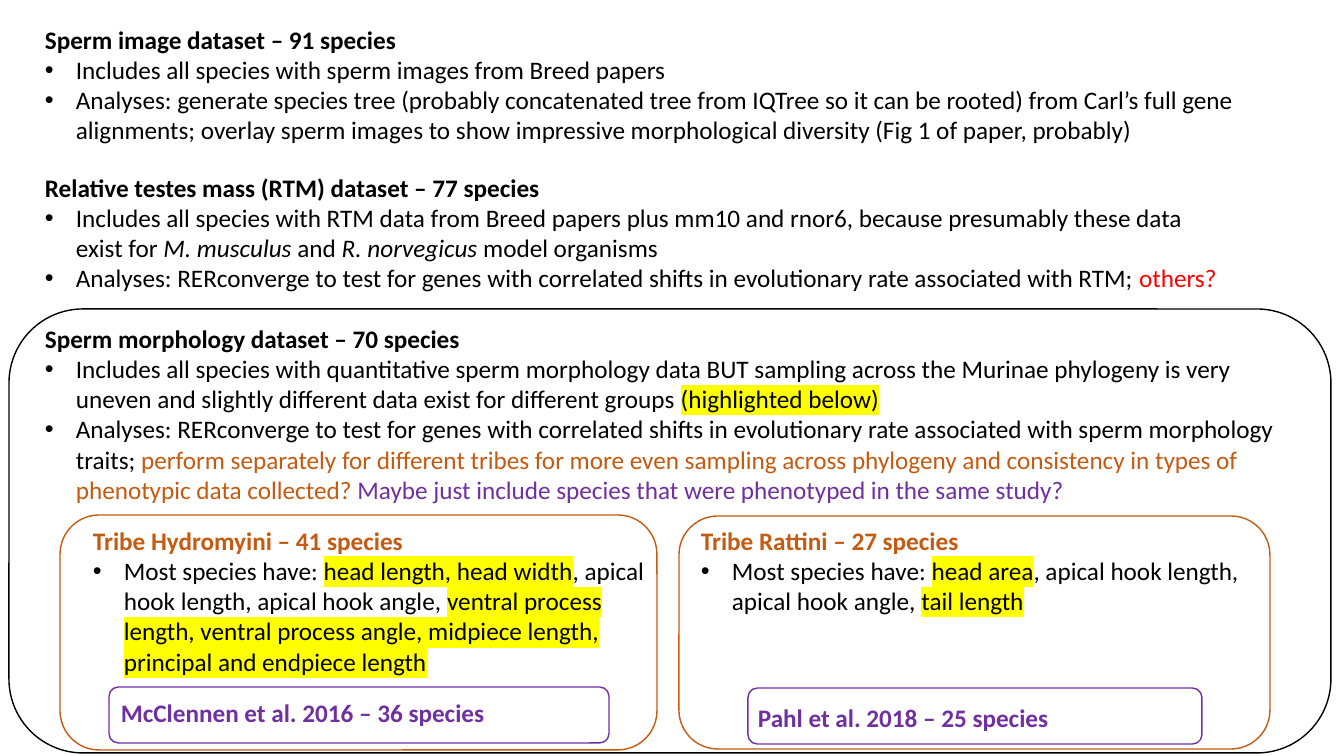
from lxml.etree import SubElement
from pptx import Presentation
from pptx.dml.color import RGBColor
from pptx.enum.shapes import MSO_SHAPE
from pptx.enum.text import MSO_AUTO_SIZE
from pptx.oxml import parse_xml
from pptx.oxml.ns import nsdecls, qn
from pptx.util import Pt

SCALE = 914400 / 100.8
INDENT = 31
FONT = "Calibri"
BLACK = RGBColor(0x00, 0x00, 0x00)
WHITE = RGBColor(0xFF, 0xFF, 0xFF)
RED = RGBColor(0xFF, 0x00, 0x00)
ORANGE = RGBColor(0xC5, 0x5A, 0x11)
PURPLE = RGBColor(0x70, 0x30, 0xA0)
YELLOW = RGBColor(0xFF, 0xFF, 0x00)


def px(n):
    return round(n * SCALE)


def add_outline(s, box, color):
    sp = s.shapes.add_shape(MSO_SHAPE.ROUNDED_RECTANGLE, *map(px, box))
    sp.shadow.inherit = False
    sp.fill.background()
    sp.line.color.rgb = color
    sp.line.width = Pt(1)


def add_run(p, text, color=BLACK, bold=False, italic=False, highlight=None):
    r = p.add_run()
    r.text = text
    r.font.size = Pt(18)
    r.font.name = FONT
    r.font.bold = bold
    r.font.italic = italic
    r.font.color.rgb = color
    if highlight:
        mark = parse_xml(f'<a:highlight {nsdecls("a")}><a:srgbClr val="{highlight}"/></a:highlight>')
        r.font._element.find(qn("a:solidFill")).addnext(mark)


def add_bullet(p):
    pPr = p._p.get_or_add_pPr()
    pPr.set("marL", str(px(INDENT)))
    pPr.set("indent", str(-px(INDENT)))
    SubElement(pPr, qn("a:buFont"), typeface="Arial")
    SubElement(pPr, qn("a:buChar"), char="•")


def add_text(s, box, heading, color=BLACK, bullets=()):
    tf = s.shapes.add_textbox(*map(px, box)).text_frame
    tf.word_wrap = True
    tf.auto_size = MSO_AUTO_SIZE.SHAPE_TO_FIT_TEXT
    add_run(tf.paragraphs[0], heading, color, bold=True)
    for runs in bullets:
        p = tf.add_paragraph()
        add_bullet(p)
        for text, style in runs:
            add_run(p, text, **style)


def main():
    prs = Presentation()
    prs.slide_width, prs.slide_height = px(1344), px(756)
    s = prs.slides.add_slide(prs.slide_layouts[6])
    s.background.fill.solid()
    s.background.fill.fore_color.rgb = WHITE

    plain = {}
    italic = {"italic": True}
    marked = {"highlight": YELLOW}

    add_text(s, (35, 19, 1228, 132), "Sperm image dataset – 91 species", bullets=[
        [("Includes all species with sperm images from Breed papers", plain)],
        [("Analyses: generate species tree (probably concatenated tree from IQTree so it can be "
          "rooted) from Carl’s full gene alignments; overlay sperm images to show impressive "
          "morphological diversity (Fig 1 of paper, probably)", plain)],
    ])
    add_text(s, (35, 167, 1210, 132), "Relative testes mass (RTM) dataset – 77 species", bullets=[
        [("Includes all species with RTM data from Breed papers plus mm10 and rnor6, because "
          "presumably these data exist for ", plain),
         ("M. musculus ", italic), ("and ", plain),
         ("R. norvegicus", italic), (" model organisms", plain)],
        [("Analyses: RERconverge to test for genes with correlated shifts in evolutionary rate "
          "associated with RTM; ", plain), ("others?", {"color": RED})],
    ])

    add_outline(s, (9, 309, 1322, 444), BLACK)
    add_text(s, (35, 318, 1265, 194), "Sperm morphology dataset – 70 species", bullets=[
        [("Includes all species with quantitative sperm morphology data BUT sampling across the "
          "Murinae phylogeny is very uneven and slightly different data exist for different "
          "groups ", plain), ("(highlighted below)", marked)],
        [("Analyses: RERconverge to test for genes with correlated shifts in evolutionary rate "
          "associated with sperm morphology traits; ", plain),
         ("perform separately for different tribes for more even sampling across phylogeny and "
          "consistency in types of phenotypic data collected? ", {"color": ORANGE}),
         ("Maybe just include species that were phenotyped in the same study?",
          {"color": PURPLE})],
    ])

    tribes = [
        ((60, 515, 597, 235), (83, 520, 587, 163), "Tribe Hydromyini – 41 species",
         "head length, head width",
         "ventral process length, ventral process angle, midpiece length, "
         "principal and endpiece length"),
        ((679, 516, 591, 233), (691, 520, 578, 102), "Tribe Rattini – 27 species",
         "head area", "tail length"),
    ]
    for outline, box, heading, head_traits, other_traits in tribes:
        add_outline(s, outline, ORANGE)
        add_text(s, box, heading, ORANGE, [
            [("Most species have: ", plain), (head_traits, marked),
             (", apical hook length, apical hook angle, ", plain), (other_traits, marked)],
        ])

    studies = [
        ((109, 687, 500, 56), (111, 692, 407, 40), "McClennen et al. 2016 – 36 species"),
        ((748, 688, 454, 56), (748, 697, 344, 40), "Pahl et al. 2018 – 25 species"),
    ]
    for outline, box, heading in studies:
        add_outline(s, outline, PURPLE)
        add_text(s, box, heading, PURPLE)

    prs.save("out.pptx")


main()
